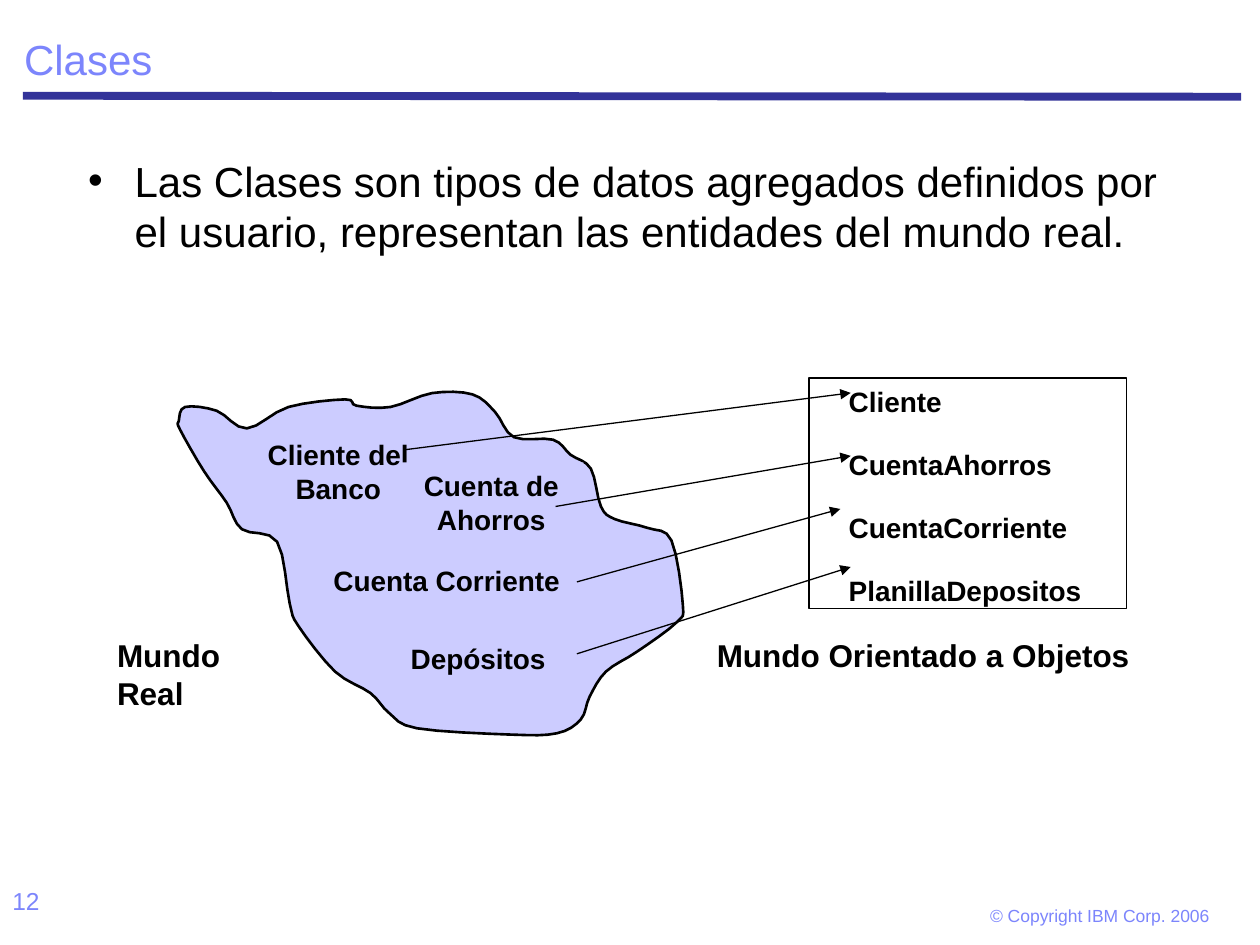
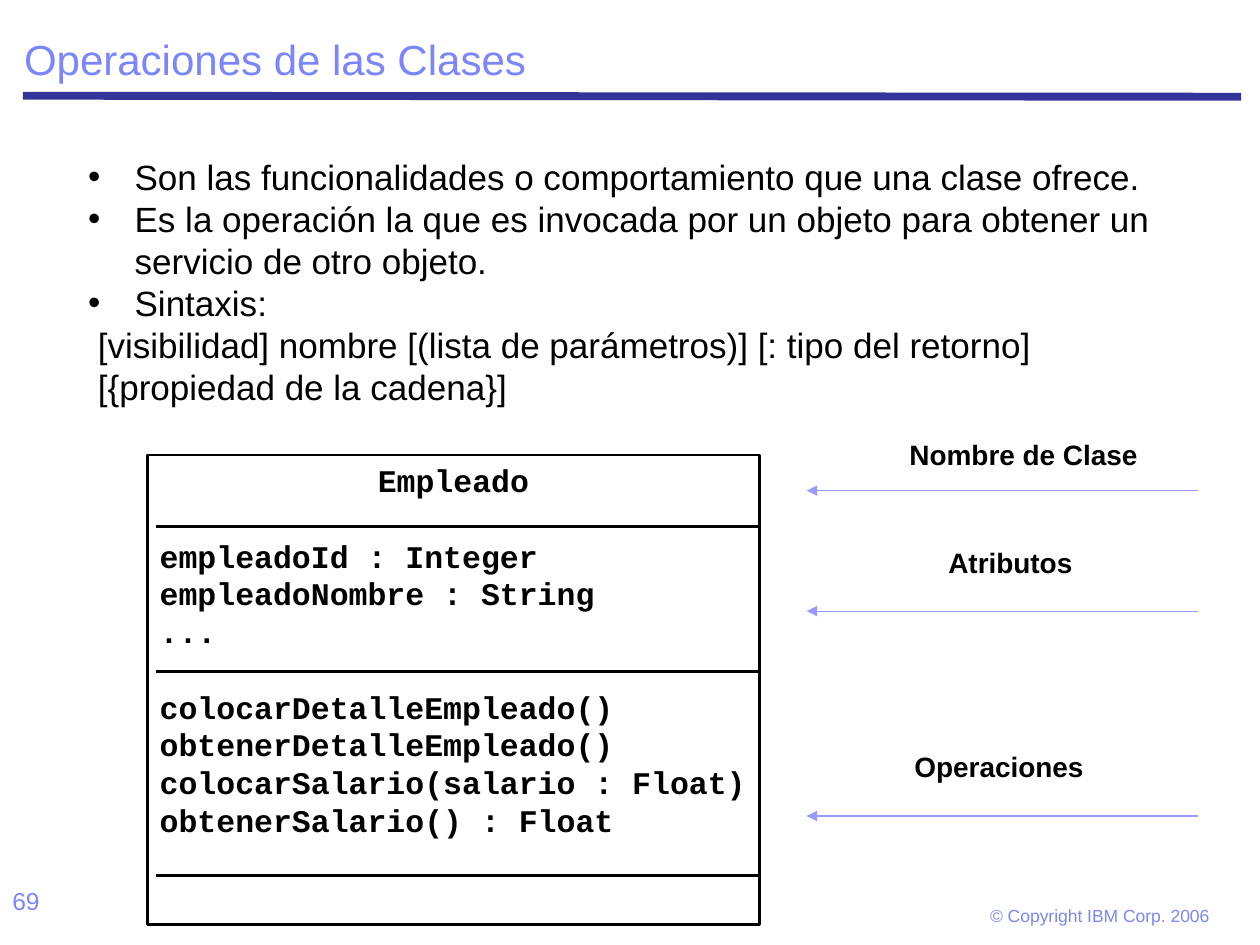
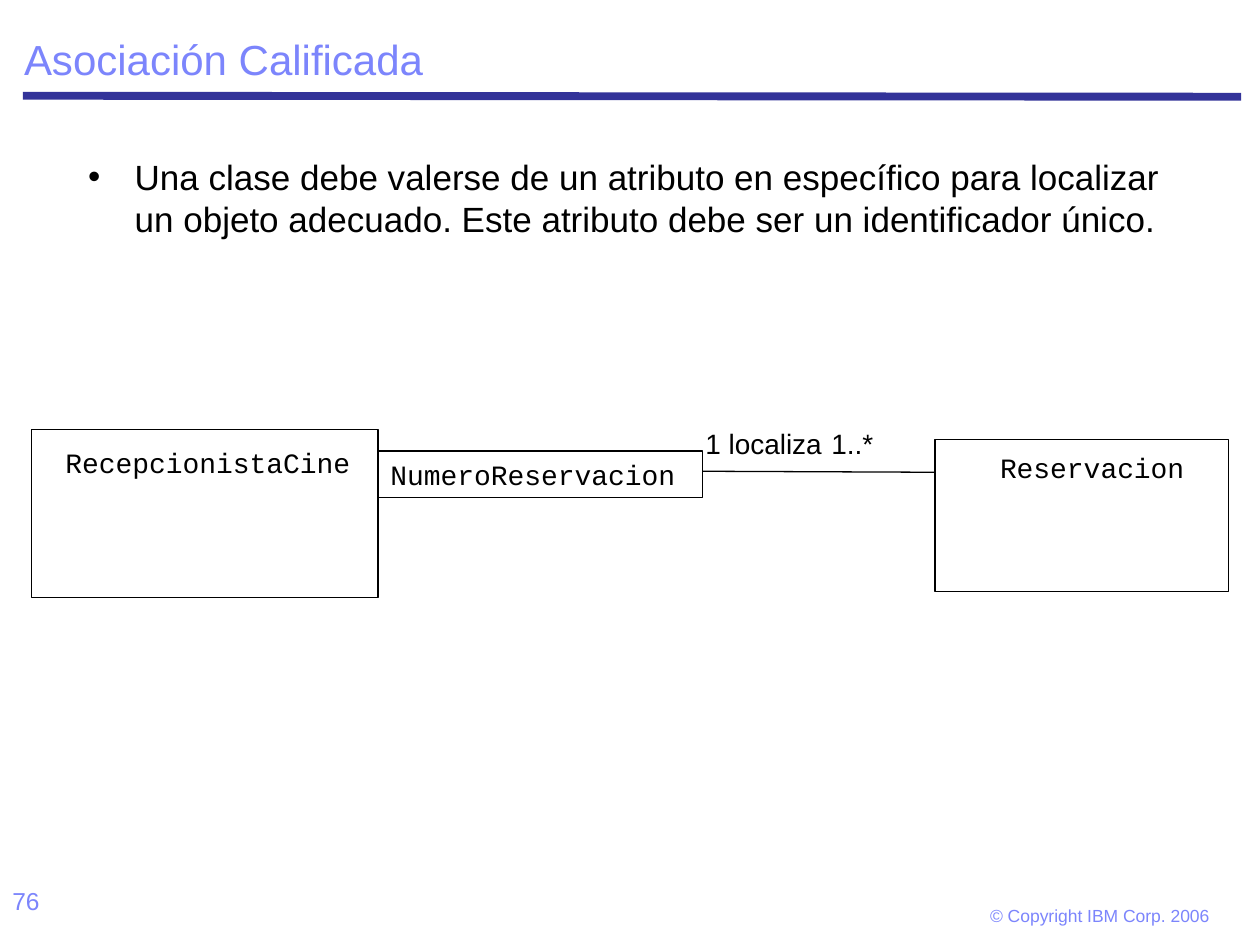
"""Build three slides on classes, their operations and qualified associations."""
from dataclasses import dataclass
from typing import Optional

import lxml.etree
import pptx
import pptx.dml.color
import pptx.enum.shapes
import pptx.enum.text
import pptx.oxml.ns
import pptx.presentation
import pptx.shapes.autoshape
import pptx.slide
import pptx.text.text
import pptx.util

Cm = pptx.util.Cm
Pt = pptx.util.Pt
ALIGN = pptx.enum.text.PP_ALIGN
ANCHOR = pptx.enum.text.MSO_ANCHOR
RECTANGLE = pptx.enum.shapes.MSO_SHAPE.RECTANGLE
STRAIGHT = pptx.enum.shapes.MSO_CONNECTOR.STRAIGHT

BLACK = "000000"
WHITE = "FFFFFF"
ACCENT = "7C85FC"
RULE = "333399"
ARROW = "9999FF"
LAVENDER = "CCCCFF"
SANS = "Arial"
MONO = "Courier New"
HANG = 0.94
COPYRIGHT = "© Copyright IBM Corp. 2006"

REAL_WORLD = (
    (143, 341), (162, 374), (180, 399), (192, 420), (220, 430), (230, 479),
    (237, 497), (266, 533), (294, 550), (309, 566), (331, 578), (405, 583),
    (442, 582), (461, 571), (468, 553), (481, 533), (506, 517), (537, 494),
    (542, 480), (533, 429), (514, 419), (488, 412), (477, 402), (469, 372),
    (453, 361), (439, 349), (408, 347), (393, 327), (375, 313), (343, 312),
    (310, 323), (283, 322), (274, 317), (229, 323), (196, 340), (172, 326),
    (147, 323), (142, 334),
)


@dataclass
class Line:
    """One paragraph: its text, the gap above in points, and indents in cm."""

    text: str
    gap: float = 0
    left: float = 0
    hang: float = 0
    bullet: Optional[str] = None
    tab: float = 0
    align: ALIGN = ALIGN.LEFT


@dataclass
class Style:
    """Font settings of a block."""

    size: int
    bold: bool = False
    face: str = SANS
    color: str = BLACK


@dataclass
class Block:
    """A text area or box, placed in cm."""

    x: float
    y: float
    width: float
    height: float
    lines: tuple[Line, ...]
    style: Style
    fill: Optional[str] = None
    edge: float = 0
    wrap: bool = True
    inset: tuple[float, float] = (0.25, 0.13)


@dataclass
class Link:
    """A straight line from one point to another, in cm."""

    x1: float
    y1: float
    x2: float
    y2: float
    color: str = BLACK
    weight: float = 0.75
    arrow: bool = False


LABEL = Style(16, bold=True)
WORLD = Style(18, bold=True)
CODE = Style(18, bold=True, face=MONO)
CLASS_NAME = Style(16, face=MONO)


def rgb(value: str) -> pptx.dml.color.RGBColor:
    """Return the colour for a hex string."""
    return pptx.dml.color.RGBColor.from_string(value)


def centred(text: str) -> tuple[Line, ...]:
    """Return one centred paragraph."""
    return (Line(text, align=ALIGN.CENTER),)


def bullet(text: str) -> Line:
    """Return a bulleted paragraph with a hanging indent."""
    return Line(text, left=HANG, hang=HANG, bullet="•")


def add_element(parent, tag: str, **attributes: str):
    """Append a DrawingML element to a parent element and return it."""
    return lxml.etree.SubElement(parent, pptx.oxml.ns.qn(tag), attributes)


def write_lines(frame: pptx.text.text.TextFrame, lines: tuple[Line, ...], style: Style) -> None:
    """Fill a text frame with formatted paragraphs."""
    for index, line in enumerate(lines):
        paragraph = frame.paragraphs[0] if index == 0 else frame.add_paragraph()
        paragraph.text = line.text
        paragraph.alignment = line.align
        paragraph.space_before = Pt(line.gap)
        properties = paragraph._p.get_or_add_pPr()
        properties.set("marL", str(Cm(line.left)))
        properties.set("indent", str(-Cm(line.hang)))
        if line.bullet:
            add_element(properties, "a:buChar", char=line.bullet)
        else:
            add_element(properties, "a:buNone")
        if line.tab:
            tabs = add_element(properties, "a:tabLst")
            add_element(tabs, "a:tab", pos=str(Cm(line.tab)), algn="l")
        font = paragraph.font
        font.name = style.face
        font.size = Pt(style.size)
        font.bold = style.bold
        font.color.rgb = rgb(style.color)


def paint(shape: pptx.shapes.autoshape.Shape, fill: Optional[str], edge: float) -> None:
    """Set the fill and outline of a shape without a shadow."""
    shape.shadow.inherit = False
    if fill:
        shape.fill.solid()
        shape.fill.fore_color.rgb = rgb(fill)
    else:
        shape.fill.background()
    if edge:
        shape.line.color.rgb = rgb(BLACK)
        shape.line.width = Pt(edge)
    else:
        shape.line.fill.background()


def draw_block(slide: pptx.slide.Slide, block: Block) -> None:
    """Draw a box or a plain text area."""
    place = [Cm(v) for v in (block.x, block.y, block.width, block.height)]
    if block.fill or block.edge:
        area = slide.shapes.add_shape(RECTANGLE, *place)
        paint(area, block.fill, block.edge)
    else:
        area = slide.shapes.add_textbox(*place)
    frame = area.text_frame
    frame.word_wrap = block.wrap
    frame.vertical_anchor = ANCHOR.TOP
    frame.margin_left = frame.margin_right = Cm(block.inset[0])
    frame.margin_top = frame.margin_bottom = Cm(block.inset[1])
    write_lines(frame, block.lines, block.style)


def draw_link(slide: pptx.slide.Slide, link: Link) -> None:
    """Draw a line, with an arrowhead at its end if asked."""
    ends = [Cm(v) for v in (link.x1, link.y1, link.x2, link.y2)]
    connector = slide.shapes.add_connector(STRAIGHT, *ends)
    connector.line.color.rgb = rgb(link.color)
    connector.line.width = Pt(link.weight)
    properties = connector._element.spPr
    if link.arrow:
        add_element(properties.find(pptx.oxml.ns.qn("a:ln")), "a:tailEnd", type="triangle")
    add_element(properties, "a:effectLst")


def smooth(corners: tuple[tuple[int, int], ...], steps: int = 4) -> list[tuple[float, float]]:
    """Return points of a closed Catmull-Rom curve through the corners."""
    curve = []
    count = len(corners)
    for i in range(count):
        nearby = [corners[(i + k) % count] for k in (-1, 0, 1, 2)]
        for step in range(steps):
            t = step / steps
            weights = (
                (-t + 2 * t**2 - t**3) / 2,
                (2 - 5 * t**2 + 3 * t**3) / 2,
                (t + 4 * t**2 - 3 * t**3) / 2,
                (t**3 - t**2) / 2,
            )
            curve.append(tuple(sum(w * p[axis] for w, p in zip(weights, nearby))
                               for axis in (0, 1)))
    return curve


def draw_real_world(slide: pptx.slide.Slide) -> None:
    """Draw the irregular outline of the real world."""
    unit = Cm(0.0254)
    start, *rest = [(x * unit, y * unit) for x, y in smooth(REAL_WORLD)]
    builder = slide.shapes.build_freeform(*start)
    builder.add_line_segments(rest, close=True)
    paint(builder.convert_to_shape(), LAVENDER, 1.5)


def place_placeholder(shape, x: float, y: float, width: float, height: float) -> None:
    """Move a placeholder and keep its text at full size."""
    shape.left, shape.top, shape.width, shape.height = Cm(x), Cm(y), Cm(width), Cm(height)
    shape.text_frame.auto_size = pptx.enum.text.MSO_AUTO_SIZE.NONE


def add_page(deck: pptx.presentation.Presentation, number: int, title: str,
             body: tuple[Line, ...], size: int) -> pptx.slide.Slide:
    """Add a slide with its title, rule, body text, number and copyright line."""
    slide = deck.slides.add_slide(deck.slide_layouts[1])
    draw_link(slide, Link(0.46, 1.93, 25.02, 1.95, RULE, 4.5))
    heading = slide.shapes.title
    place_placeholder(heading, 0.23, 0.23, 24.89, 1.6)
    heading.text_frame.vertical_anchor = ANCHOR.BOTTOM
    write_lines(heading.text_frame, (Line(title),), Style(24, color=ACCENT))
    heading.text_frame.paragraphs[0].line_spacing = 0.9
    content = slide.placeholders[1]
    place_placeholder(content, 1.52, 3, 22.35, 13.67)
    write_lines(content.text_frame, body, Style(size))
    draw_block(slide, Block(0, 17.73, 5.92, 1.32, (Line(str(number)),), Style(14, color=ACCENT)))
    draw_block(slide, Block(19.58, 18.06, 5.18, 0.81, (Line(COPYRIGHT),),
                            Style(10, color=ACCENT), wrap=False, inset=(0.38, 0.18)))
    return slide


def add_classes(deck: pptx.presentation.Presentation) -> None:
    """Add the slide that maps real things to classes."""
    slide = add_page(deck, 12, "Clases", (bullet(
        "Las Clases son tipos de datos agregados definidos por el usuario, "
        "representan las entidades del mundo real."),), 24)
    draw_real_world(slide)
    for text, *place in (
        ("Cliente del Banco", 4.75, 8.69, 4.14, 1.45),
        ("Cuenta de Ahorros", 8.05, 9.32, 3.71, 1.7),
        ("Cuenta Corriente", 6.35, 11.23, 5.31, 0.91),
        ("Depósitos", 7.62, 12.8, 4.04, 0.97),
    ):
        draw_block(slide, Block(*place, centred(text), LABEL, fill=LAVENDER))
    names = ("Cliente", "CuentaAhorros", "CuentaCorriente", "PlanillaDepositos")
    classes = tuple(Line(name, gap=16.8 if i else 0, left=0.55) for i, name in enumerate(names))
    draw_block(slide, Block(16.31, 7.62, 6.4, 4.65, classes, LABEL, fill=WHITE, edge=0.75))
    for ends in (
        (8.13, 9.07, 17.15, 7.92),
        (11.2, 10.21, 17.15, 9.19),
        (11.63, 11.73, 16.94, 10.26),
        (11.63, 13.18, 17.15, 11.43),
    ):
        draw_link(slide, Link(*ends, arrow=True))
    for text, x, width in (("Mundo Orientado a Objetos", 14.2, 8.84), ("Mundo Real", 2.11, 4.09)):
        draw_block(slide, Block(x, 12.7, width, 1.02, (Line(text),), WORLD, wrap=False))


def add_operations(deck: pptx.presentation.Presentation) -> None:
    """Add the slide on class operations with its class diagram."""
    slide = add_page(deck, 69, "Operaciones de las Clases", (
        bullet("Son las funcionalidades o comportamiento que una clase ofrece."),
        bullet("Es la operación la que es invocada por un objeto para obtener un "
               "servicio de otro objeto."),
        bullet("Sintaxis:"),
        Line("[visibilidad] nombre [(lista de parámetros)] [: tipo del retorno]", left=0.2),
        Line("[{propiedad de la cadena}]", left=0.2),
    ), 20)
    section_gap = 21.5
    members = (
        *centred("Empleado"),
        Line("empleadoId : Integer", gap=section_gap),
        Line("empleadoNombre : String"),
        Line("..."),
        Line("colocarDetalleEmpleado()", gap=section_gap),
        Line("obtenerDetalleEmpleado()"),
        Line("colocarSalario(salario : Float)"),
        Line("obtenerSalario() : Float"),
    )
    draw_block(slide, Block(2.97, 9.17, 12.34, 9.47, members, CODE, edge=1.5))
    for y in (10.62, 13.54, 17.65):
        draw_link(slide, Link(3.15, y, 15.32, y, weight=1.5))
    for text, x, y, width, height, arrow_y in (
        ("Nombre de Clase", 16.71, 8.69, 7.85, 0.97, 9.89),
        ("Atributos", 18.11, 10.87, 4.52, 1.22, 12.32),
        ("Operaciones", 17.88, 14.99, 4.52, 1.22, 16.45),
    ):
        draw_block(slide, Block(x, y, width, height, centred(text), LABEL))
        draw_link(slide, Link(24.16, arrow_y, 16.26, arrow_y, ARROW, arrow=True))


def add_association(deck: pptx.presentation.Presentation) -> None:
    """Add the slide on the qualified association."""
    slide = add_page(deck, 76, "Asociación Calificada", (bullet(
        "Una clase debe valerse de un atributo en específico para localizar un objeto "
        "adecuado. Este atributo debe ser un identificador único."),), 20)
    for block in (
        Block(0.64, 8.66, 6.98, 3.38, (), CLASS_NAME, edge=0.75),
        Block(1.07, 8.86, 6.35, 0.94, (Line("RecepcionistaCine"),), CLASS_NAME),
        Block(7.62, 9.09, 6.55, 0.94, (Line("NumeroReservacion"),), CLASS_NAME, edge=0.75),
        Block(18.85, 8.86, 5.92, 3.07, (Line("Reservacion", left=1.06),), CLASS_NAME,
              edge=0.75, inset=(0.25, 0.23)),
        Block(13.97, 8.46, 5.92, 0.94, (Line("1 localiza\t1..*", tab=3.6),), Style(16)),
    ):
        draw_block(slide, block)
    draw_link(slide, Link(14.17, 9.5, 18.85, 9.52))


def main() -> None:
    """Build the deck and save it."""
    deck = pptx.Presentation()
    deck.slide_width, deck.slide_height = Cm(25.4), Cm(19.05)
    add_classes(deck)
    add_operations(deck)
    add_association(deck)
    deck.save("out.pptx")


if __name__ == "__main__":
    main()
